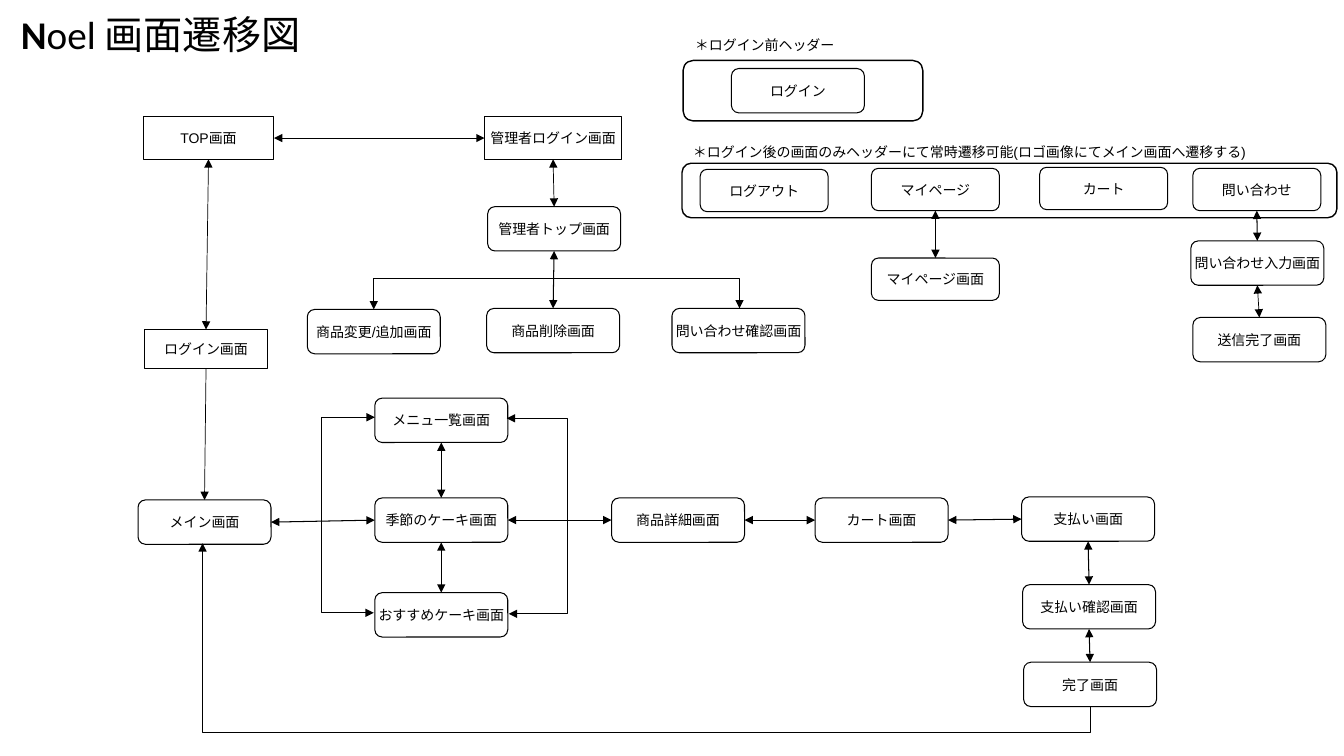
from lxml import etree
from pptx import Presentation
from pptx.dml.color import RGBColor
from pptx.enum.shapes import MSO_CONNECTOR as LINE, MSO_SHAPE as SHAPE
from pptx.enum.text import MSO_ANCHOR, MSO_AUTO_SIZE, PP_ALIGN
from pptx.oxml.ns import qn
from pptx.util import Pt

BLACK = RGBColor(0x00, 0x00, 0x00)
WHITE = RGBColor(0xFF, 0xFF, 0xFF)
PX = 9144
TOP, LEFT, BOTTOM, RIGHT = range(4)
SCREEN = (132, 44)
BUTTON = (127, 42)
ROUNDED = SHAPE.FLOWCHART_ALTERNATE_PROCESS


def emu(*lengths):
    """Turn px into whole EMU."""
    return [round(n * PX) for n in lengths]


def add_run(p, text, **formats):
    """Add a black run with the given font values."""
    r = p.add_run()
    r.text = text
    for name, value in formats.items():
        setattr(r.font, name, value)
    r.font.color.rgb = BLACK


def add_label(s, box, runs, size):
    """Add a text box from (text, font, bold) runs."""
    tf = s.shapes.add_textbox(*emu(*box)).text_frame
    tf.word_wrap = True
    tf.auto_size = MSO_AUTO_SIZE.SHAPE_TO_FIT_TEXT
    for text, font, bold in runs:
        add_run(tf.paragraphs[0], text, name=font, bold=bold, size=Pt(size))


def add_box(s, box, text="", kind=ROUNDED, width=0.75):
    """Add an outlined box with a centred name."""
    sp = s.shapes.add_shape(kind, *emu(*box))
    sp.shadow.inherit = False
    if kind == SHAPE.RECTANGLE:
        sp.fill.solid()
        sp.fill.fore_color.rgb = WHITE
    else:
        sp.fill.background()
    sp.line.color.rgb = BLACK
    sp.line.width = Pt(width)
    if text:
        tf = sp.text_frame
        tf.word_wrap = False
        tf.vertical_anchor = MSO_ANCHOR.MIDDLE
        p = tf.paragraphs[0]
        p.alignment = PP_ALIGN.CENTER
        add_run(p, text, name="Arial", size=Pt(10))
    return sp


def add_screens(s, box, places, size=SCREEN):
    """Add equal rounded boxes at (name, x, y) places within the box."""
    return {name: add_box(s, (box[0] + x, box[1] + y, *size), name)
            for name, x, y in places}


def style_line(cn, width, heads):
    """Make a connector black with triangles at the named ends."""
    cn.line.color.rgb = BLACK
    cn.line.width = Pt(width)
    ln = cn.line._get_or_add_ln()
    for end in heads:
        etree.SubElement(ln, qn(f"a:{end}"), type="triangle")
    etree.SubElement(cn._element.spPr, qn("a:effectLst"))


def link(s, a, side_a, b, side_b, width=0.75, heads=("headEnd", "tailEnd")):
    """Join the sides of two boxes with a straight arrow."""
    cn = s.shapes.add_connector(LINE.STRAIGHT, 0, 0, 0, 0)
    cn.begin_connect(a, side_a)
    cn.end_connect(b, side_b)
    style_line(cn, width, heads)


def add_elbow(s, start, end, via, rot=0, flips=(), heads=("headEnd", "tailEnd")):
    """Add a bent arrow whose middle leg runs at the coordinate via."""
    axis = 1 if rot in (90, 270) else 0
    w, h = abs(end[axis] - start[axis]), abs(end[1 - axis] - start[1 - axis])
    x, y = (start[0] + end[0] - w) / 2, (start[1] + end[1] - h) / 2
    cn = s.shapes.add_connector(LINE.ELBOW, *emu(x, y, x + w, y + h))
    xfrm = cn._element.spPr.find(qn("a:xfrm"))
    xfrm.set("rot", str(rot * 60000))
    for flip in flips:
        xfrm.set(flip, "1")
    bend = (via - start[axis]) / (end[axis] - start[axis])
    geom = cn._element.spPr.find(qn("a:prstGeom"))
    guides = geom.find(qn("a:avLst"))
    if guides is None:
        guides = etree.SubElement(geom, qn("a:avLst"))
    etree.SubElement(guides, qn("a:gd"), name="adj1", fmla=f"val {round(bend * 100000)}")
    style_line(cn, 0.75, heads)


def entry_region(s, box):
    """Add the top and login screens."""
    x, y = box
    top = add_box(s, (x, y, 130, 42), "TOP画面", SHAPE.RECTANGLE)
    login = add_box(s, (x + 1, y + 211, 123, 39), "ログイン画面", SHAPE.RECTANGLE)
    link(s, top, BOTTOM, login, TOP, 0.5)
    return top, login


def admin_region(s, box):
    """Add the administrator screens and return the login one."""
    x, y = box
    login = add_box(s, (x + 176, y, 136, 42), "管理者ログイン画面", SHAPE.RECTANGLE)
    screens = add_screens(s, box, [
        ("管理者トップ画面", 179, 89), ("商品変更/追加画面", 0, 191),
        ("商品削除画面", 178, 190), ("問い合わせ確認画面", 362, 190)])
    home = screens["管理者トップ画面"]
    link(s, login, BOTTOM, home, TOP, 0.5)
    link(s, home, BOTTOM, screens["商品削除画面"], TOP)
    add_elbow(s, (x + 66, y + 191), (x + 429, y + 190), y + 160, 90, ("flipH", "flipV"))
    return login


def header_region(s, box):
    """Add the headers before and after login with their screens."""
    x, y = box
    add_label(s, (x + 3, y, 254, 27),
              [("＊ログイン前", "Calibri", None), ("ヘッダー", "Arial", None)], 10)
    add_box(s, (x + 1, y + 29, 238, 60), width=1)
    add_label(s, (x + 1, y + 106, 637, 27),
              [("＊ログイン後の画面のみ", "Calibri", None),
               ("ヘッダーにて常時遷移可能(ロゴ画像にてメイン画面へ遷移する)", "Arial", None)], 10)
    add_box(s, (x, y + 131, 650, 54), width=1)
    screens = add_screens(s, box, [
        ("ログイン", 49, 37), ("問い合わせ入力画面", 505, 208), ("送信完了画面", 507, 284)])
    buttons = add_screens(s, box, [
        ("ログアウト", 18, 137), ("マイページ", 188, 136), ("カート", 355, 135),
        ("問い合わせ", 507, 136), ("マイページ画面", 188, 225)], BUTTON)
    form = screens["問い合わせ入力画面"]
    link(s, buttons["マイページ"], BOTTOM, buttons["マイページ画面"], TOP)
    link(s, buttons["問い合わせ"], BOTTOM, form, TOP)
    link(s, form, BOTTOM, screens["送信完了画面"], TOP, 0.5)


def shop_region(s, box):
    """Add the shopping flow and return the main screen."""
    x, y = box
    row = ["メイン画面", "季節のケーキ画面", "商品詳細画面", "カート画面", "支払い画面"]
    column = ["メニュ一覧画面", "季節のケーキ画面", "おすすめケーキ画面"]
    payment = ["支払い画面", "支払い確認画面", "完了画面"]
    screens = add_screens(s, box, [
        *zip(row, (0, 235, 470, 672, 877), (101, 99, 99, 99, 98)),
        (column[0], 235, 0), (column[2], 235, 193),
        (payment[1], 878, 185), (payment[2], 879, 262)])
    for names, out, into, width in ((row, RIGHT, LEFT, 0.75),
                                    (column, BOTTOM, TOP, 0.5),
                                    (payment, BOTTOM, TOP, 0.75)):
        for a, b in zip(names, names[1:]):
            link(s, screens[a], out, screens[b], into, width)
    add_elbow(s, (x + 235, y + 19), (x + 234, y + 213), x + 181, 180, ("flipV",))
    add_elbow(s, (x + 366, y + 20), (x + 368, y + 214), x + 426)
    add_elbow(s, (x + 64, y + 144), (x + 945, y + 306), y + 332, 270, ("flipH",),
              ("headEnd",))
    return screens["メイン画面"]


def main():
    """Build the screen transition slide."""
    prs = Presentation()
    prs.slide_width, prs.slide_height = emu(1334, 750)
    s = prs.slides.add_slide(prs.slide_layouts[6])
    add_label(s, (11, 5, 323, 57),
              [("N", "Calibri", True), ("oel 画面遷移図", "Calibri", False)], 28)
    top, login = entry_region(s, (142, 116))
    admin_login = admin_region(s, (305, 116))
    header_region(s, (677, 31))
    main_screen = shop_region(s, (137, 395))
    link(s, top, RIGHT, admin_login, LEFT, 0.5)
    link(s, login, BOTTOM, main_screen, TOP, 0.5, ("tailEnd",))
    prs.save("out.pptx")


if __name__ == "__main__":
    main()
